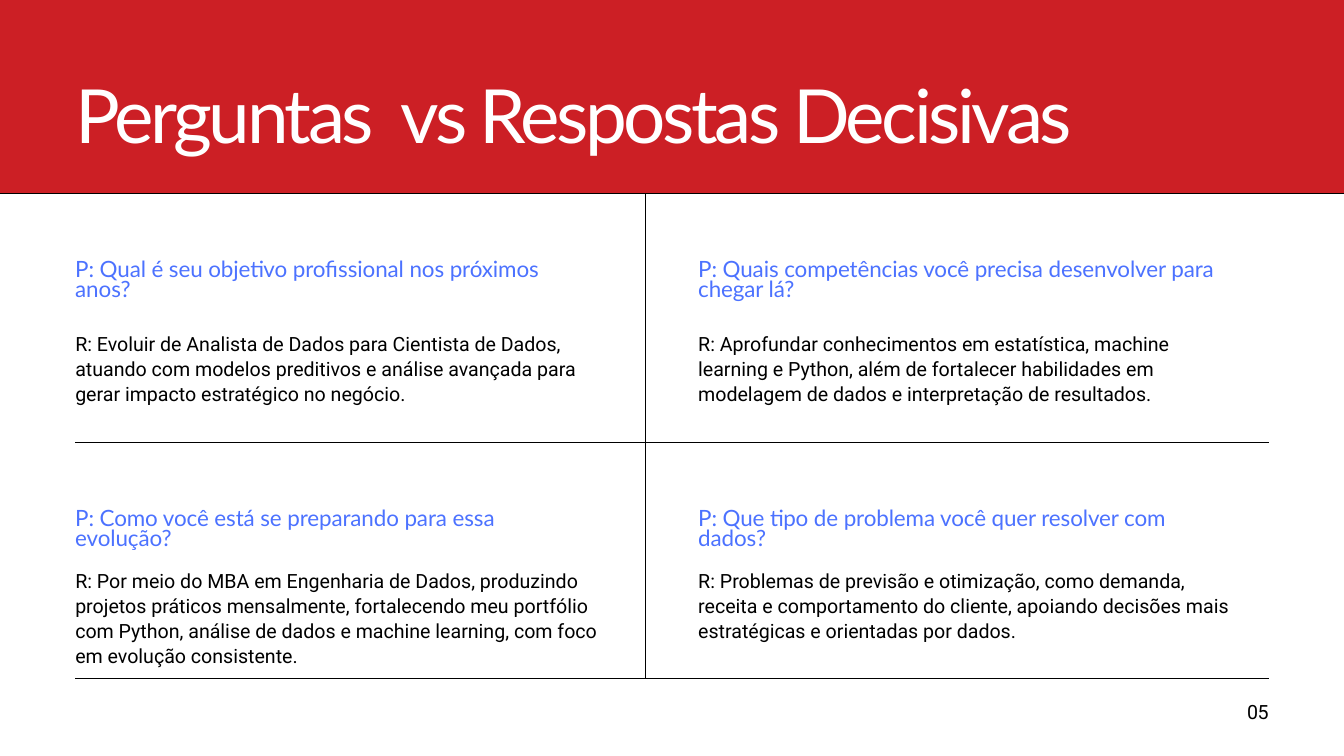
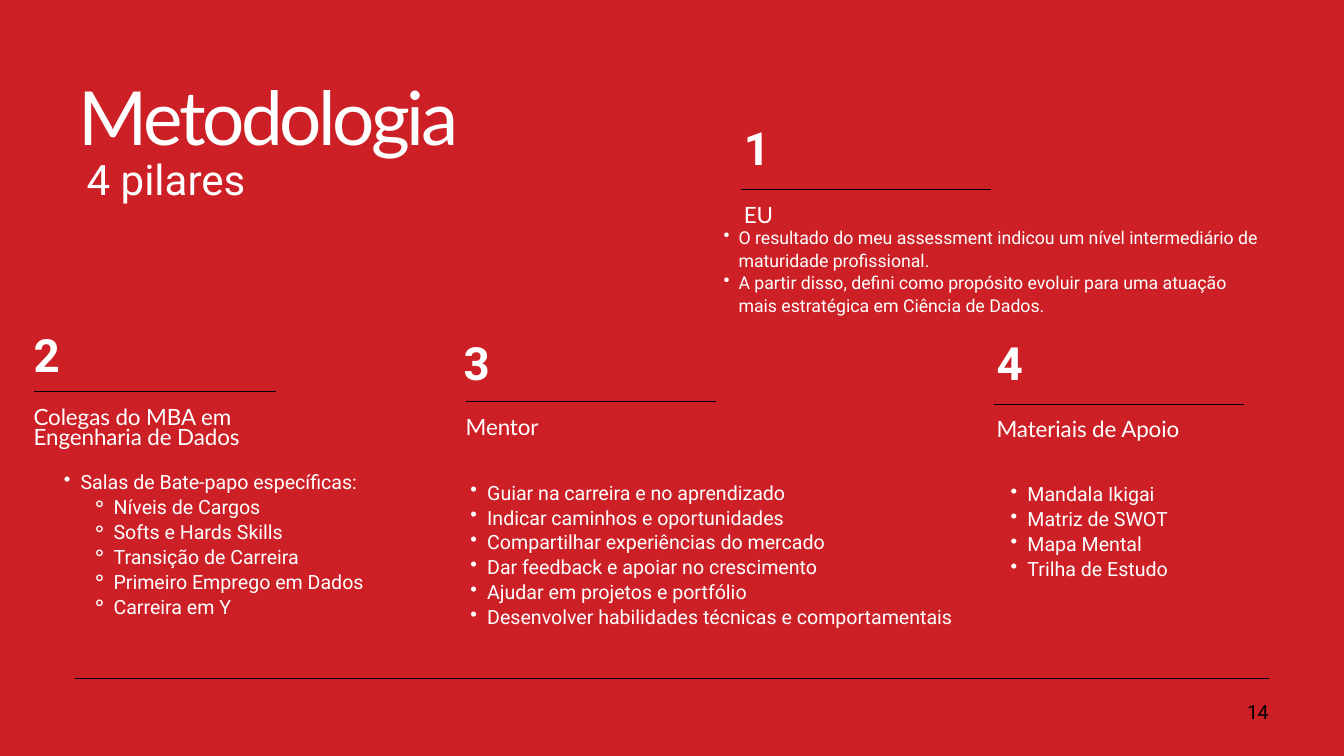
"""Build two career-plan slides: decisive questions and the four pillars of the method."""
from lxml import etree
from pptx import Presentation
from pptx.dml.color import RGBColor
from pptx.enum.shapes import MSO_CONNECTOR, MSO_SHAPE
from pptx.enum.text import MSO_ANCHOR, MSO_AUTO_SIZE, PP_ALIGN
from pptx.oxml.ns import qn
from pptx.util import Inches, Pt

LEFT, RIGHT = PP_ALIGN.LEFT, PP_ALIGN.RIGHT
STRAIGHT, RECTANGLE = MSO_CONNECTOR.STRAIGHT, MSO_SHAPE.RECTANGLE
TITLE_ONLY = 5

QUESTIONS = {
    "title": ("Perguntas", "vs Respostas Decisivas"),
    "page": "05",
    "pairs": [
        [
            (7.37, "P: Qual é seu objetivo profissional nos próximos anos?",
             "R: Evoluir de Analista de Dados para Cientista de Dados, atuando com modelos "
             "preditivos e análise avançada para gerar impacto estratégico no negócio."),
            (8.48, "P: Quais competências você precisa desenvolver para chegar lá?",
             "R: Aprofundar conhecimentos em estatística, machine learning e Python, além de "
             "fortalecer habilidades em modelagem de dados e interpretação de resultados."),
        ],
        [
            (7.37, "P: Como você está se preparando para essa evolução?",
             "R: Por meio do MBA em Engenharia de Dados, produzindo projetos práticos "
             "mensalmente, fortalecendo meu portfólio com Python, análise de dados e machine "
             "learning, com foco em evolução consistente."),
            (7.63, "P: Que tipo de problema você quer resolver com dados?",
             "R: Problemas de previsão e otimização, como demanda, receita e comportamento do "
             "cliente, apoiando decisões mais estratégicas e orientadas por dados."),
        ],
    ],
}

METHOD = {
    "title": ("Metodologia",),
    "subtitle": "4 pilares",
    "page": "14",
    "pillars": [
        {"heading": "EU", "rule": (11.03, 2.82, 3.72), "number": (11.07, 1.74),
         "heading_left": 11.07, "body": (10.54, 3.36, 8.22, 1.35), "style": "small",
         "items": [
             (1, "O resultado do meu assessment indicou um nível intermediário de "
                 "maturidade profissional."),
             (1, "A partir disso, defini como propósito evoluir para uma atuação mais "
                 "estratégica em Ciência de Dados.")]},
        {"heading": "Colegas do MBA em Engenharia de Dados", "rule": (0.5, 5.83, 3.61),
         "number": (0.5, 4.81), "heading_left": 0.5, "body": (0.7, 6.97, 5.14, 2.19),
         "style": "body",
         "items": [
             (1, "Salas de Bate-papo específicas:"),
             (2, "Níveis de Cargos"),
             (2, "Softs e Hards Skills"),
             (2, "Transição de Carreira"),
             (2, "Primeiro Emprego em Dados"),
             (2, "Carreira em Y")]},
        {"heading": "Mentor", "rule": (6.93, 5.97, 3.72), "number": (6.9, 4.93),
         "heading_left": 6.93, "body": (6.75, 7.13, 8.04, 2.19), "style": "body",
         "items": [
             (1, "Guiar na carreira e no aprendizado"),
             (1, "Indicar caminhos e oportunidades"),
             (1, "Compartilhar experiências do mercado"),
             (1, "Dar feedback e apoiar no crescimento"),
             (1, "Ajudar em projetos e portfólio"),
             (1, "Desenvolver habilidades técnicas e comportamentais")]},
        {"heading": "Materiais de Apoio", "rule": (14.79, 6.01, 3.72), "number": (14.83, 4.93),
         "heading_left": 14.83, "body": (14.79, 7.15, 4.32, 1.82), "style": "body",
         "items": [
             (1, "Mandala Ikigai"),
             (1, "Matriz de SWOT"),
             (1, "Mapa Mental"),
             (1, "Trilha de Estudo")]},
    ],
}

THEME = {
    "colors": {"white": "FFFFFF", "black": "000000", "blue": "4C72FF",
               "band": "CC1F25", "red": "CD2026"},
    "styles": {
        "title": {"font": "Lato", "size": 80, "leading": 80, "tracking": -3.7},
        "subtitle": {"font": "Roboto", "size": 45, "leading": 57.1},
        "number": {"font": "Roboto", "size": 49, "leading": 62.2, "bold": True},
        "heading": {"font": "Lato", "size": 24, "leading": 21.6, "tracking": -0.1},
        "body": {"font": "Roboto", "size": 21, "leading": 26.7},
        "small": {"font": "Roboto", "size": 19, "leading": 24.1},
        "page": {"font": "Roboto", "size": 21, "leading": 18.9, "tracking": -0.5},
    },
    "bullets": {("body", 1): ("•", 0.5, -0.25), ("body", 2): ("⚬", 0.99, -0.33),
                ("small", 1): ("•", 0.45, -0.22)},
    "word_gap": 8,
    "rule": 0.75,
}
FRAME = {"margin_left": 0, "margin_right": 0, "margin_top": 0, "margin_bottom": 0,
         "word_wrap": True, "vertical_anchor": MSO_ANCHOR.TOP,
         "auto_size": MSO_AUTO_SIZE.SHAPE_TO_FIT_TEXT}

WIDTH, HEIGHT = 20, 11.25
MARGIN = 1.12
BAND_BOTTOM, FOOT = 2.88, 10.1
DIVIDER, ROW_RULE = 9.61, 6.58
COLUMNS = (MARGIN, 10.39)
ROWS = ((3.89, 4.92), (7.6, 8.45))
ANSWER_WIDTH = 8.05
NUMBER_SIZE = (0.74, 0.86)


def color(name):
    """Return a theme colour."""
    return RGBColor.from_string(THEME["colors"][name])


def apply(target, values):
    """Set every attribute in values on target."""
    for name, value in values.items():
        setattr(target, name, value)


def add_run(paragraph, words, style, ink, tracking=None):
    """Add a formatted run to a paragraph."""
    look = THEME["styles"][style]
    run = paragraph.add_run()
    run.text = words
    apply(run.font, {"name": look["font"], "size": Pt(look["size"]),
                     "bold": look.get("bold", False)})
    run.font.color.rgb = color(ink)
    spacing = look.get("tracking", 0) if tracking is None else tracking
    if spacing:
        run._r.get_or_add_rPr().set("spc", str(round(spacing * 100)))


def add_bullet(paragraph, style, level):
    """Give a paragraph its bullet and hanging indent."""
    mark, margin, indent = THEME["bullets"][style, level]
    paragraph.level = level
    properties = paragraph._p.get_or_add_pPr()
    properties.set("marL", str(Inches(margin)))
    properties.set("indent", str(Inches(indent)))
    etree.SubElement(properties, qn("a:buChar")).set("char", mark)


def format_paragraph(paragraph, style, align=LEFT):
    """Set alignment and exact line spacing."""
    apply(paragraph, {"alignment": align,
                      "line_spacing": Pt(THEME["styles"][style]["leading"])})


def add_text(slide, place, items, style, ink, align=LEFT):
    """Add a text box with one paragraph for each (level, words) item."""
    frame = slide.shapes.add_textbox(*map(Inches, place)).text_frame
    apply(frame, FRAME)
    for index, (level, words) in enumerate(items):
        paragraph = frame.add_paragraph() if index else frame.paragraphs[0]
        if level:
            add_bullet(paragraph, style, level)
        format_paragraph(paragraph, style, align)
        add_run(paragraph, words, style, ink)


def add_rule(slide, *ends):
    """Draw a thin black line between two points."""
    rule = slide.shapes.add_connector(STRAIGHT, *map(Inches, ends))
    rule.line.color.rgb = color("black")
    rule.line.width = Pt(THEME["rule"])
    etree.SubElement(rule.element.spPr, qn("a:effectLst"))


def set_title(slide, parts, place):
    """Place the title, with a wide gap between its parts."""
    title = slide.shapes.title
    apply(title, dict(zip(("left", "top", "width", "height"), map(Inches, place))))
    apply(title.text_frame, FRAME)
    paragraph = title.text_frame.paragraphs[0]
    format_paragraph(paragraph, "title")
    for index, part in enumerate(parts):
        if index:
            add_run(paragraph, " ", "title", "white", THEME["word_gap"])
        add_run(paragraph, part, "title", "white")


def start_slide(deck, content, background, title_place):
    """Add a slide with background, title, foot rule and page number."""
    slide = deck.slides.add_slide(deck.slide_layouts[TITLE_ONLY])
    slide.background.fill.solid()
    slide.background.fill.fore_color.rgb = color(background)
    set_title(slide, content["title"], title_place)
    add_rule(slide, MARGIN, FOOT, WIDTH - MARGIN, FOOT)
    add_text(slide, (16.38, 10.5, 2.5, 0.29), [(0, content["page"])], "page", "black", RIGHT)
    return slide


def build_questions(deck):
    """Build the grid of questions and answers."""
    slide = start_slide(deck, QUESTIONS, "white", (MARGIN, 1.24, 17.75, 1.17))
    band = slide.shapes.add_shape(RECTANGLE, 0, 0, Inches(WIDTH), Inches(BAND_BOTTOM))
    band.shadow.inherit = False
    band.fill.solid()
    band.fill.fore_color.rgb = color("band")
    band.line.fill.background()
    band.element.addnext(slide.shapes.title.element)
    add_rule(slide, 0, BAND_BOTTOM, WIDTH, BAND_BOTTOM)
    add_rule(slide, MARGIN, ROW_RULE, WIDTH - MARGIN, ROW_RULE)
    add_rule(slide, DIVIDER, FOOT, DIVIDER, BAND_BOTTOM)
    for (question_top, answer_top), pairs in zip(ROWS, QUESTIONS["pairs"]):
        for left, (width, question, answer) in zip(COLUMNS, pairs):
            add_text(slide, (left, question_top, width, 0.6), [(0, question)], "heading", "blue")
            add_text(slide, (left, answer_top, ANSWER_WIDTH, 1.09), [(0, answer)],
                     "body", "black")


def build_method(deck):
    """Build the four numbered pillars."""
    slide = start_slide(deck, METHOD, "red", (1.17, 1.28, 9.6, 1.17))
    add_text(slide, (1.29, 2.24, 7.1, 0.8), [(0, METHOD["subtitle"])], "subtitle", "white")
    for number, pillar in enumerate(METHOD["pillars"], 1):
        left, top, width = pillar["rule"]
        add_rule(slide, left, top, left + width, top)
        add_text(slide, pillar["number"] + NUMBER_SIZE, [(0, str(number))], "number", "white")
        add_text(slide, (pillar["heading_left"], top + 0.27, width, 0.31),
                 [(0, pillar["heading"])], "heading", "white")
        add_text(slide, pillar["body"], pillar["items"], pillar["style"], "white")


def main():
    """Create and save the deck."""
    deck = Presentation()
    apply(deck, {"slide_width": Inches(WIDTH), "slide_height": Inches(HEIGHT)})
    build_questions(deck)
    build_method(deck)
    deck.save("out.pptx")


if __name__ == "__main__":
    main()
